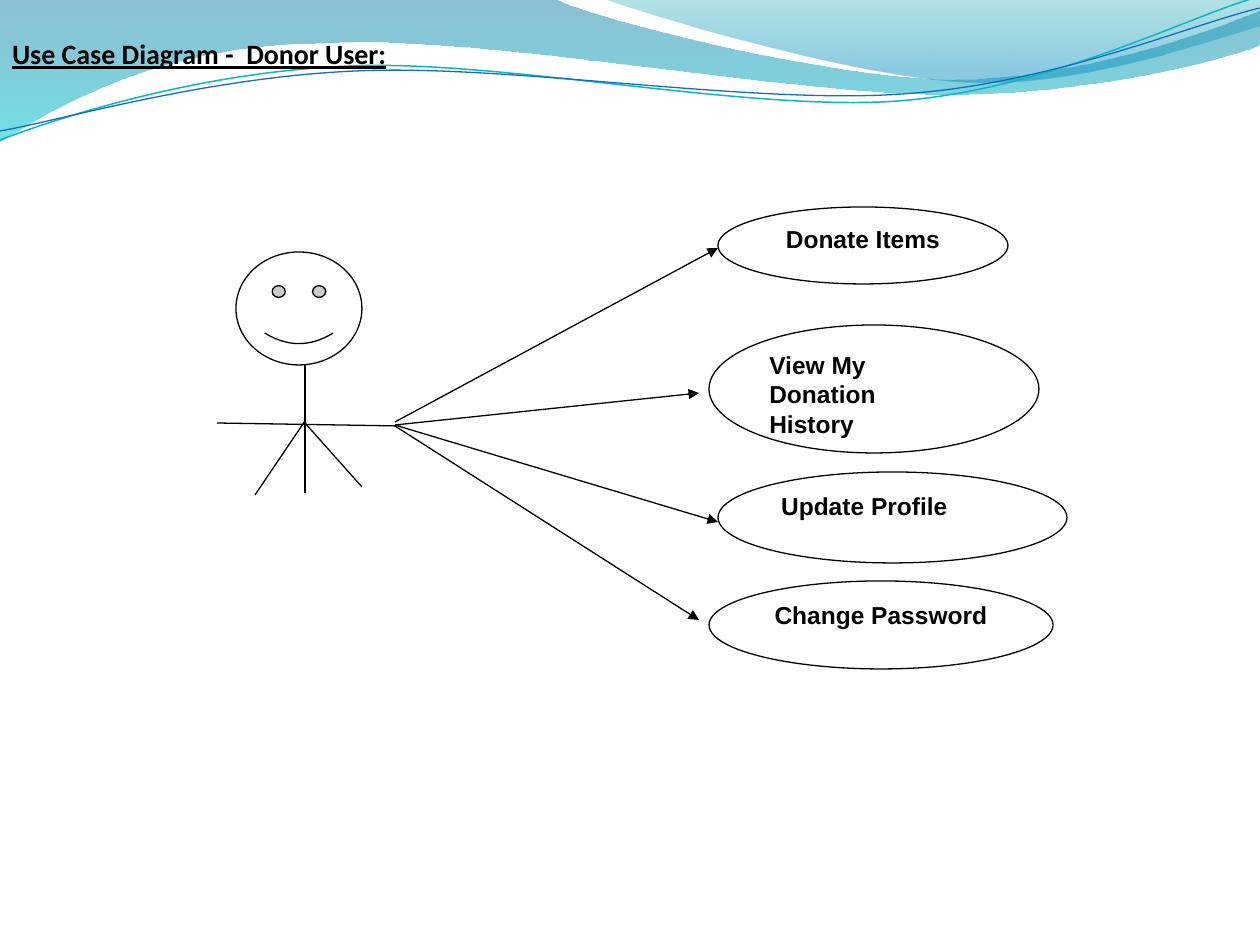
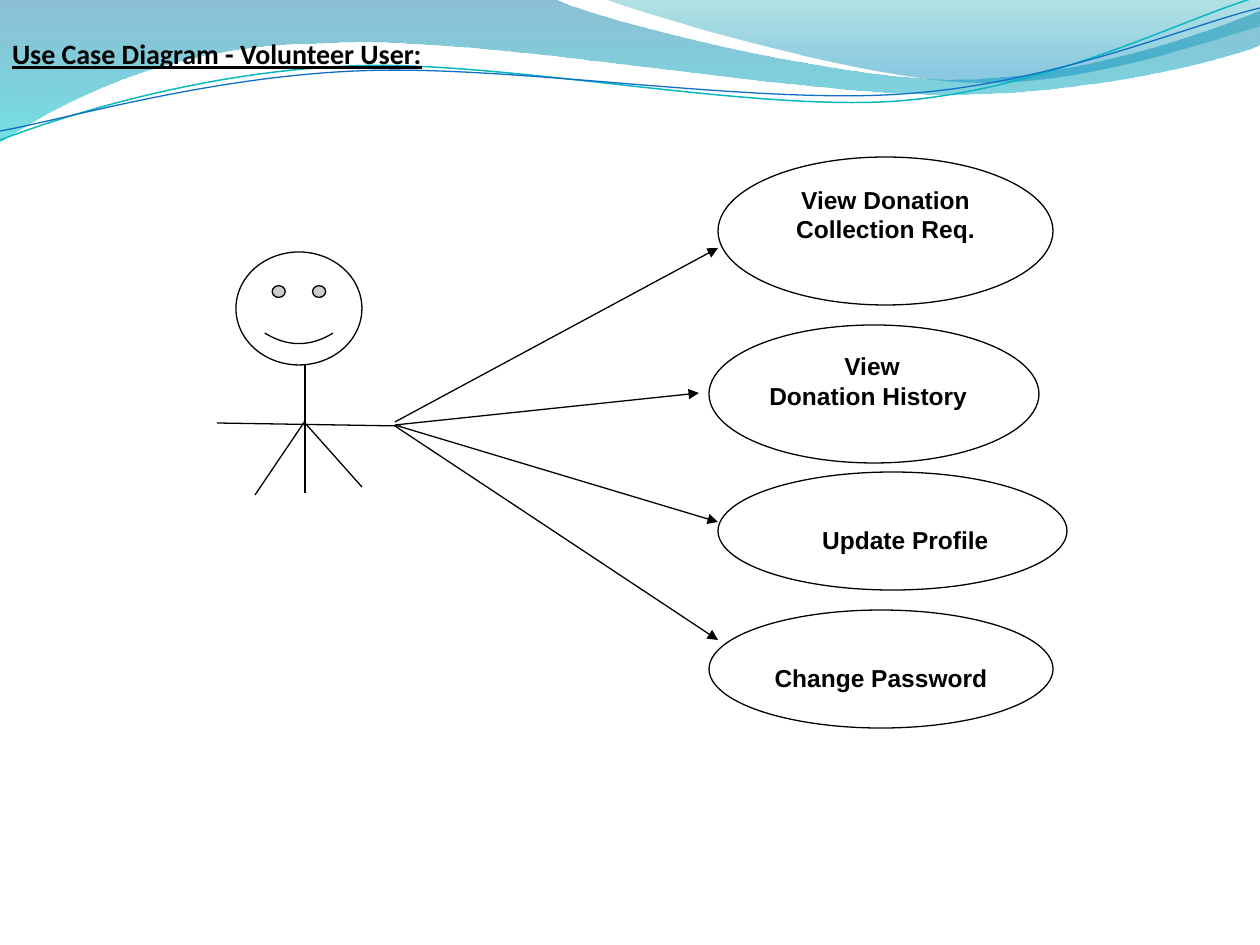
import lxml.etree
import pptx
import pptx.dml.color
import pptx.enum.shapes
import pptx.enum.text
import pptx.oxml.ns
import pptx.util

RGB = pptx.dml.color.RGBColor
SHAPE = pptx.enum.shapes.MSO_SHAPE
ALIGN = pptx.enum.text.PP_ALIGN
ANCHOR = pptx.enum.text.MSO_ANCHOR
qn = pptx.oxml.ns.qn

BLACK = RGB(0x00, 0x00, 0x00)
WHITE = RGB(0xFF, 0xFF, 0xFF)
DEEP_BLUE = RGB(0x00, 0x74, 0xA1)
AQUA = RGB(0x00, 0xC6, 0xCF)
TEAL = RGB(0x00, 0xA1, 0xA9)
SKY_BLUE = RGB(0x00, 0x8B, 0xBF)
TEAL_LINE = RGB(0x0A, 0xB8, 0xBF)
BLUE_LINE = RGB(0x0F, 0x6F, 0xC6)

EMU_PER_PX = 914400 / 126
LINE_HEIGHT = 30
INSET_X, INSET_Y = 12, 6

BANDS = [
    ([[(0, -1)], [(554, -1)],
      [(600, 21), (837, 79), (955, 79)], [(1075, 79), (1207, 33), (1260, 11)],
      [(1261, 45)],
      [(1239, 55), (1096, 96), (940, 94)], [(784, 94), (481, 35), (324, 43)],
      [(163, 44), (58, 105), (-1, 142)], [(0, -1)]],
     [(0, DEEP_BLUE, 45), (1, AQUA, 55)]),
    ([[(604, -1)],
      [(641, 14), (859, 78), (969, 82)], [(1079, 87), (1211, 40), (1260, 26)],
      [(1260, 0)], [(604, -1)]],
     [(0, TEAL, 30), (0.8, SKY_BLUE, 45)]),
]
RIBBONS = [
    ([[(0, 140)], [(60, 117), (199, 72), (349, 66)],
      [(498, 59), (747, 112), (898, 101)], [(1050, 89), (1182, 19), (1257, -3)]],
     TEAL_LINE, 0.85),
    ([[(0, 131)], [(59, 121), (207, 77), (357, 71)],
      [(508, 64), (752, 105), (903, 94)], [(1053, 84), (1186, 26), (1260, 8)]],
     BLUE_LINE, 0.75),
]

ACTOR = (217, 252)
USE_CASES = (709, 158)
LIMBS = [((88, 112), (88, 241)), ((0, 171), (184, 174)),
         ((88, 169), (38, 243)), ((88, 171), (145, 235))]
HAND_POINTS = [(178, 170), (178, 173), (181, 174), (178, 174)]

DONOR_CASES = [
    dict(text="Donate Items", box=(9, 49, 290, 77), target=(9, 90), centred=True),
    dict(text="View My Donation History", box=(0, 167, 330, 128), target=(-10, 235),
         narrowing=50),
    dict(text="Update Profile", box=(9, 314, 349, 91), target=(9, 364)),
    dict(text="Change Password", box=(0, 423, 344, 88), target=(-10, 462), centred=True),
]
VOLUNTEER_CASES = [
    dict(text="View Donation Collection Req.", box=(9, -1, 335, 148), target=(9, 90),
         centred=True),
    dict(text="View Donation History", box=(0, 167, 330, 138), target=(-10, 235),
         indent=75),
    dict(text="Update Profile", box=(9, 314, 349, 118), target=(9, 364),
         indent=41, drop=LINE_HEIGHT),
    dict(text="Change Password", box=(0, 452, 344, 118), target=(9, 482),
         centred=True, drop=LINE_HEIGHT),
]


def px(length):
    return pptx.util.Emu(round(length * EMU_PER_PX))


def offset(origin, point):
    return origin[0] + point[0], origin[1] + point[1]


def outline(slide, segments, closed):
    vertices = [(px(x), px(y)) for segment in segments for x, y in segment]
    builder = slide.shapes.build_freeform(*vertices[0], scale=1.0)
    builder.add_line_segments(vertices[1:], close=closed)
    curve = builder.convert_to_shape()
    curve.shadow.inherit = False
    steps = iter(list(curve.element.iter(qn("a:lnTo"))))
    for segment in segments[1:]:
        first, *others = [next(steps) for _ in segment]
        if others:
            first.tag = qn("a:cubicBezTo")
            for step in others:
                first.append(step[0])
                step.getparent().remove(step)
    return curve


def add_waves(slide, master):
    for segments, stops in BANDS:
        band = outline(slide, segments, True)
        band.line.fill.background()
        band.fill.gradient()
        band.fill.gradient_angle = 270
        for stop, (position, colour, _) in zip(band.fill.gradient_stops, stops):
            stop.position = position
            stop.color.rgb = colour
        for tint, (_, _, opacity) in zip(band.element.iter(qn("a:srgbClr")), stops):
            lxml.etree.SubElement(tint, qn("a:alpha"), val=str(opacity * 1000))
        master.shapes.element.append(band.element)
    for segments, colour, width in RIBBONS:
        ribbon = outline(slide, segments, False)
        ribbon.fill.background()
        ribbon.line.color.rgb = colour
        ribbon.line.width = pptx.util.Pt(width)
        master.shapes.element.append(ribbon.element)


def format_runs(paragraph, font_name, size):
    for run in paragraph.runs:
        run.font.name = font_name
        run.font.size = pptx.util.Pt(size)
        run.font.bold = True
        run.font.color.rgb = BLACK


def set_title(slide, text, width):
    title = slide.shapes.title
    title.left, title.top, title.width, title.height = px(0), px(0), px(width), px(115)
    frame = title.text_frame
    frame.text = text
    frame.word_wrap = True
    frame.vertical_anchor = ANCHOR.MIDDLE
    frame.margin_left = frame.margin_right = px(INSET_X)
    frame.margin_top, frame.margin_bottom = px(INSET_Y), px(14)
    heading = frame.paragraphs[0]
    heading.alignment = ALIGN.LEFT
    format_runs(heading, "Calibri", 16)
    heading.runs[0].font.underline = True


def add_outlined(slide, preset, left, top, width, height):
    shape = slide.shapes.add_shape(preset, px(left), px(top), px(width), px(height))
    shape.shadow.inherit = False
    shape.fill.solid()
    shape.fill.fore_color.rgb = WHITE
    shape.line.color.rgb = BLACK
    shape.line.width = pptx.util.Pt(0.75)
    return shape


def add_line(slide, start, end, arrow=False):
    line = slide.shapes.add_connector(
        pptx.enum.shapes.MSO_CONNECTOR.STRAIGHT, *map(px, start + end))
    line.line.color.rgb = BLACK
    line.line.width = pptx.util.Pt(0.75)
    properties = line.element.spPr
    if arrow:
        lxml.etree.SubElement(properties.find(qn("a:ln")), qn("a:tailEnd"), type="triangle")
    lxml.etree.SubElement(properties, qn("a:effectLst"))


def add_head(slide, origin):
    head = add_outlined(slide, SHAPE.SMILEY_FACE, *offset(origin, (19, 0)), 126, 113)
    head.adjustments[0] = 0.047


def add_limbs(slide, origin):
    for start, end in LIMBS:
        add_line(slide, offset(origin, start), offset(origin, end))


def add_use_case(slide, origin, text, box, centred=False, indent=0, drop=0, narrowing=0):
    left, top, width, height = box
    use_case = add_outlined(slide, SHAPE.OVAL, *offset(origin, (left, top)), width, height)
    frame = use_case.text_frame
    frame.text = text
    frame.word_wrap = True
    frame.vertical_anchor = ANCHOR.TOP
    frame.margin_left, frame.margin_right = px(INSET_X), px(INSET_X + narrowing)
    frame.margin_top, frame.margin_bottom = px(INSET_Y + drop), px(INSET_Y)
    label = frame.paragraphs[0]
    label.alignment = ALIGN.CENTER if centred else ALIGN.LEFT
    if indent:
        label._p.get_or_add_pPr().set("indent", str(px(indent)))
    format_runs(label, "Arial", 14)


def add_diagram(slide, cases):
    add_head(slide, ACTOR)
    for case in cases:
        details = {key: value for key, value in case.items() if key != "target"}
        add_use_case(slide, USE_CASES, **details)
    for hand, case in zip(HAND_POINTS, cases):
        add_line(slide, offset(ACTOR, hand), offset(USE_CASES, case["target"]), arrow=True)
    add_limbs(slide, ACTOR)


def main():
    deck = pptx.Presentation()
    deck.slide_width, deck.slide_height = px(1260), px(945)
    layout = deck.slide_layouts.get_by_name("Title Only")
    for title, width, cases in [
        ("Use Case Diagram -  Donor User:", 413, DONOR_CASES),
        ("Use Case Diagram - Volunteer User:", 522, VOLUNTEER_CASES),
    ]:
        slide = deck.slides.add_slide(layout)
        set_title(slide, title, width)
        add_diagram(slide, cases)
    add_waves(deck.slides[0], deck.slide_master)
    deck.save("out.pptx")


if __name__ == "__main__":
    main()
